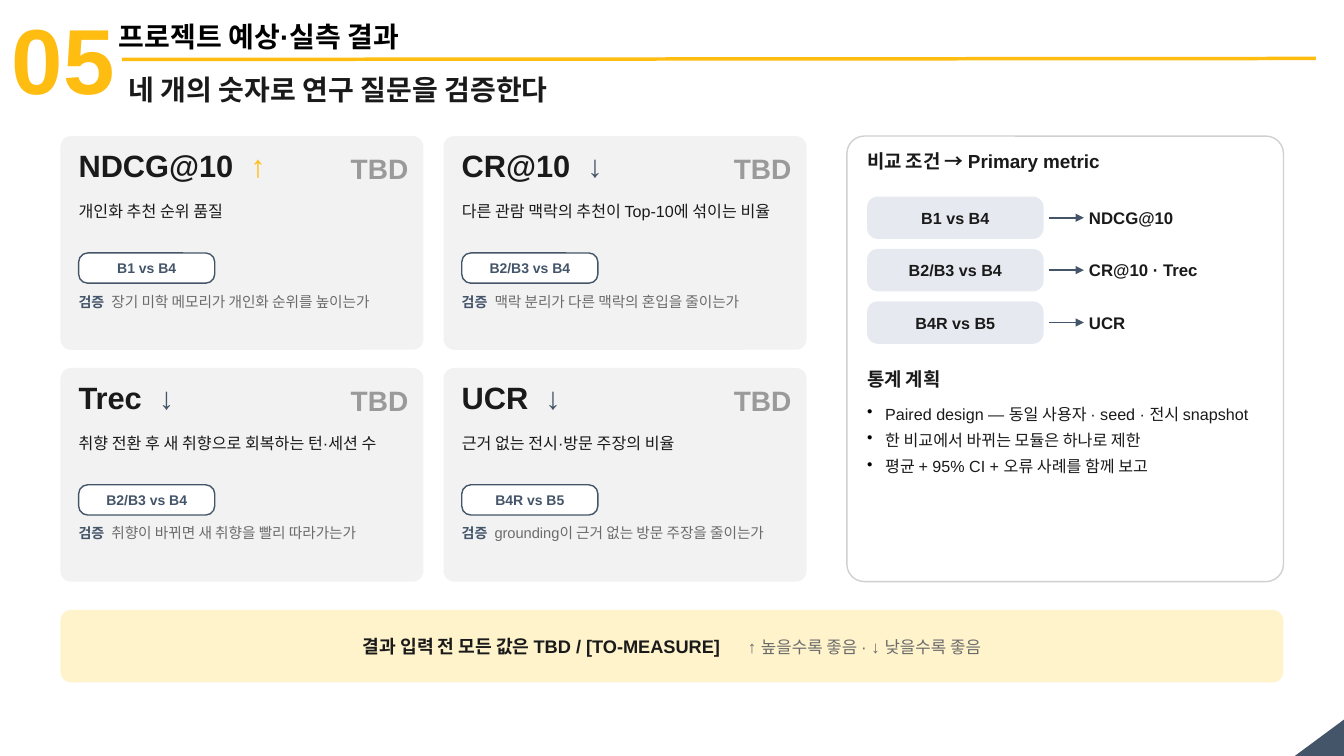
import lxml.etree
import pptx
import pptx.util
import pptx.dml.color
import pptx.enum.shapes
import pptx.enum.text
import pptx.oxml.ns

Inches, Pt = pptx.util.Inches, pptx.util.Pt
FORM = pptx.enum.shapes.MSO_SHAPE
ALIGN = pptx.enum.text.PP_ALIGN
ANCHOR = pptx.enum.text.MSO_ANCHOR

HUES = {
    "gold": "FFBD11", "navy": "445569", "ink": "1A1A1A", "black": "000000",
    "gray": "6B6B6B", "pale": "9A9A9A", "card": "F2F2F2", "edge": "D0D0D0",
    "mist": "E6EAF0", "cream": "FFF3CC", "white": "FFFFFF",
}


def hue(name):
    return pptx.dml.color.RGBColor.from_string(HUES[name])


def node(base, tag, **attrs):
    return lxml.etree.SubElement(base, pptx.oxml.ns.qn(tag), attrs)


def run(text, size, color="ink", bold=True, gap=0):
    """One run of text; gap is extra letter spacing in points."""
    return text, size, color, bold, gap


class Deck:
    font = "Arial"

    def __init__(self, wide, high):
        self.prs = pptx.Presentation()
        self.prs.slide_width, self.prs.slide_height = Inches(wide), Inches(high)
        self.slide = self.prs.slides.add_slide(self.prs.slide_layouts[6])

    def label(self, shape, paras, pad=(0, 0.03), align="LEFT", mid=False,
              bullet=False, after=0):
        frame = shape.text_frame
        side, edge = map(Inches, pad)
        form = {
            "word_wrap": True, "margin_left": side, "margin_right": side,
            "margin_top": edge, "margin_bottom": edge,
            "vertical_anchor": ANCHOR.MIDDLE if mid else ANCHOR.TOP,
        }
        for key, val in form.items():
            setattr(frame, key, val)
        for num, runs in enumerate(paras):
            para = frame.add_paragraph() if num else frame.paragraphs[0]
            para.alignment = getattr(ALIGN, align)
            if after:
                para.space_after = Pt(after)
            if bullet:
                props = para._p.get_or_add_pPr()
                props.set("marL", str(Inches(0.18)))
                props.set("indent", str(-Inches(0.18)))
                node(node(props, "a:buClr"), "a:srgbClr", val=HUES["black"])
                node(props, "a:buChar", char="•")
            for text, size, color, bold, gap in runs:
                part = para.add_run()
                part.text = text
                style = {"name": self.font, "size": Pt(size), "bold": bold}
                for key, val in style.items():
                    setattr(part.font, key, val)
                part.font.color.rgb = hue(color)
                if gap:
                    part._r.get_or_add_rPr().set("spc", str(round(gap * 100)))

    def text(self, box, *paras, **form):
        shape = self.slide.shapes.add_textbox(*map(Inches, box))
        self.label(shape, paras, **form)

    def shape(self, box, fill, kind=FORM.ROUNDED_RECTANGLE, curve=None,
              line=None, turn=0):
        shape = self.slide.shapes.add_shape(kind, *map(Inches, box))
        shape.shadow.inherit = False
        shape.rotation = turn
        shape.fill.solid()
        shape.fill.fore_color.rgb = hue(fill)
        if curve is not None:
            shape.adjustments[0] = curve
        if line:
            shape.line.color.rgb = hue(line)
            shape.line.width = Pt(1)
        else:
            shape.line.fill.background()
        return shape

    def line(self, ends, color, width, arrow=False):
        line = self.slide.shapes.add_connector(
            pptx.enum.shapes.MSO_CONNECTOR.STRAIGHT, *map(Inches, ends))
        line.line.color.rgb = hue(color)
        line.line.width = Pt(width)
        if arrow:
            node(line.get_or_add_ln(), "a:tailEnd", type="triangle")
        node(line._element.spPr, "a:effectLst")

    def card(self, x, y, name, arrow, color, about, pair, check):
        left = x + 0.18
        self.shape((x, y, 3.6, 2.12), "card", curve=0.05)
        self.text((left, y + 0.08, 2.4, 0.5),
                  [run(name, 22), run(" ", 22, gap=6.1), run(arrow, 22, color)])
        self.text((x + 2.3, y + 0.12, 1.15, 0.5), [run("TBD", 20, "pale")],
                  align="RIGHT")
        self.text((left, y + 0.62, 3.25, 0.5), [run(about, 11.5, bold=False)])
        pill = self.shape((left, y + 1.16, 1.35, 0.3), "white", curve=0.3,
                          line="navy")
        self.label(pill, [[run(pair, 10, "navy")]], pad=(0.04, 0.03),
                   align="CENTER", mid=True)
        self.text((left, y + 1.52, 3.3, 0.55),
                  [run("검증", 10, "navy"), run(" ", 10, "navy", gap=2.8),
                   run(check, 10.5, "gray", False)])

    def match(self, y, pair, metric):
        tag = self.shape((8.6, y, 1.75, 0.42), "mist", curve=0.25)
        self.label(tag, [[run(pair, 11.5)]], align="CENTER", mid=True)
        self.line((10.4, y + 0.21, 10.75, y + 0.21), "navy", 1.25, arrow=True)
        self.text((10.8, y, 1.85, 0.42), [run(metric, 12)], mid=True)


CARDS = [
    ("NDCG@10", "↑", "gold", "개인화 추천 순위 품질", "B1 vs B4",
     "장기 미학 메모리가 개인화 순위를 높이는가"),
    ("CR@10", "↓", "navy", "다른 관람 맥락의 추천이 Top-10에 섞이는 비율",
     "B2/B3 vs B4", "맥락 분리가 다른 맥락의 혼입을 줄이는가"),
    ("Trec", "↓", "navy", "취향 전환 후 새 취향으로 회복하는 턴·세션 수",
     "B2/B3 vs B4", "취향이 바뀌면 새 취향을 빨리 따라가는가"),
    ("UCR", "↓", "navy", "근거 없는 전시·방문 주장의 비율", "B4R vs B5",
     "grounding이 근거 없는 방문 주장을 줄이는가"),
]
PAIRS = [("B1 vs B4", "NDCG@10"), ("B2/B3 vs B4", "CR@10 · Trec"),
         ("B4R vs B5", "UCR")]
PLAN = ["Paired design — 동일 사용자 · seed · 전시 snapshot",
        "한 비교에서 바뀌는 모듈은 하나로 제한",
        "평균 + 95% CI + 오류 사례를 함께 보고"]


def main():
    deck = Deck(13.33, 7.5)

    # Corner and heading
    deck.shape((12.9, 7.07, 0.37, 0.5), "navy", FORM.RIGHT_TRIANGLE, turn=270)
    pad = (0.1, 0.05)
    deck.text((0.02, -0.03, 1.27, 1.21), [run("05", 66, "gold")], pad=pad)
    deck.text((1.08, 0.14, 7, 0.44),
              [run("프로젝트 예상·실측 결과", 20, "black")], pad=pad)
    deck.line((1.21, 0.59, 13.05, 0.58), "gold", 2.5)
    deck.text((1.18, 0.67, 11.9, 0.34),
              [run("네 개의 숫자로 연구 질문을 검증한다", 20)], pad=pad)

    # Metric cards, two by two
    for num, card in enumerate(CARDS):
        row, col = divmod(num, 2)
        deck.card(0.6 + 3.8 * col, 1.35 + 2.3 * row, *card)

    # Panel of comparisons and statistics
    deck.shape((8.4, 1.35, 4.33, 4.42), "white", curve=0.04, line="edge")
    deck.text((8.6, 1.45, 4, 0.4), [run("비교 조건 → Primary metric", 13.5)])
    for num, pair in enumerate(PAIRS):
        deck.match(1.95 + 0.52 * num, *pair)
    deck.text((8.6, 3.62, 4, 0.35), [run("통계 계획", 13.5)])
    deck.text((8.6, 3.98, 4, 1.7),
              *[[run(item, 11.5, bold=False)] for item in PLAN],
              bullet=True, after=5)

    # Footer band
    band = deck.shape((0.6, 6.05, 12.13, 0.72), "cream", curve=0.15)
    deck.label(band, [[run("결과 입력 전 모든 값은 TBD / [TO-MEASURE]", 13),
                       run(" ", 12, "gray", False, gap=16.7),
                       run("↑ 높을수록 좋음 · ↓ 낮을수록 좋음", 12, "gray", False)]],
               pad=(0.2, 0.03), align="CENTER", mid=True)

    deck.prs.save("out.pptx")


if __name__ == "__main__":
    main()
